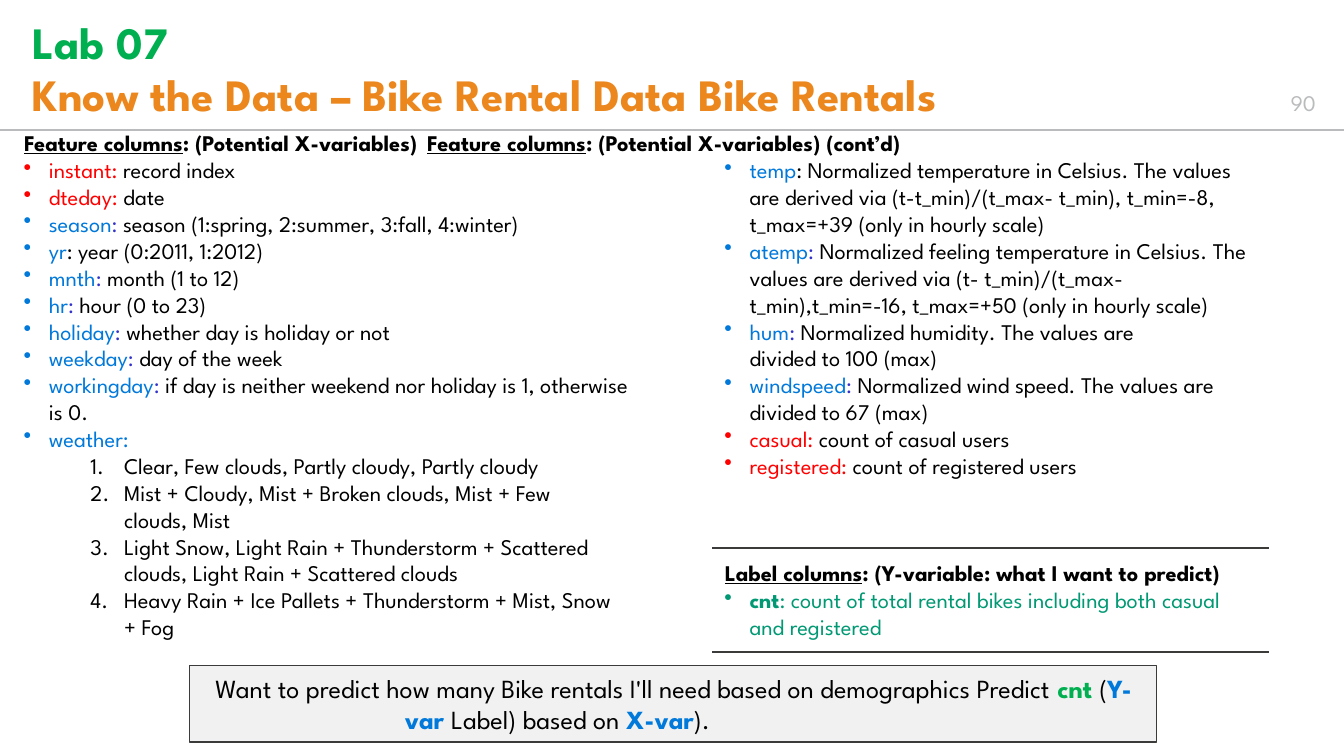
from lxml.etree import SubElement
from pptx import Presentation
from pptx.dml.color import RGBColor
from pptx.enum.shapes import MSO_CONNECTOR, MSO_SHAPE
from pptx.oxml.ns import qn
from pptx.util import Pt

THEME = {
    "font": "League Spartan",
    "title": 24, "note": 14, "body": 12,
    "black": "000000", "red": "FF0000", "blue": "0079DB", "indigo": "3333CC",
    "green": "00AF50", "teal": "009973", "orange": "EB871D",
    "gray": "BABBBD", "dark": "3B3B3A", "pale": "F1F1F1",
}

# Content: a run is (text, colour, style), with b for bold and u for underline
TITLE = [("Lab 07", "green"), ("Know the Data – Bike Rental Data Bike Rentals", "orange")]
HEAD = [("Feature columns", "black", "bu"), (": (Potential X-variables)\t", "black", "b"),
        ("Feature columns", "black", "bu"),
        (": (Potential X-variables) (cont’d)", "black", "b")]
# Feature: name, meaning, name colour, colon colour, right indent
LEFT = [
    ("instant", "record index", "red", "red", 0),
    ("dteday", "date", "red", "red", 0),
    ("season", "season (1:spring, 2:summer, 3:fall, 4:winter)", "blue", "indigo", 0),
    ("yr", "year (0:2011, 1:2012)", "blue", "black", 0),
    ("mnth", "month (1 to 12)", "blue", "indigo", 0),
    ("hr", "hour (0 to 23)", "blue", "indigo", 0),
    ("holiday", "whether day is holiday or not", "blue", "indigo", 0),
    ("weekday", "day of the week", "blue", "indigo", 0),
    ("workingday", "if day is neither weekend nor holiday is 1, otherwise is 0.",
     "blue", "indigo", 0),
    ("weather", "", "blue", "blue", 0),
]
SKIES = [
    "Clear, Few clouds, Partly cloudy, Partly cloudy",
    "Mist + Cloudy, Mist + Broken clouds, Mist + Few clouds, Mist",
    "Light Snow, Light Rain + Thunderstorm + Scattered clouds, "
    "Light Rain + Scattered clouds",
    "Heavy Rain + Ice Pallets + Thunderstorm + Mist, Snow + Fog",
]
RIGHT = [
    ("temp", "Normalized temperature in Celsius. The values are derived via "
     "(t-t_min)/(t_max- t_min), t_min=-8, t_max=+39 (only in hourly scale)",
     "blue", "black", 14),
    ("atemp", "Normalized feeling temperature in Celsius. The values are derived via "
     "(t- t_min)/(t_max-t_min),t_min=-16, t_max=+50 (only in hourly scale)",
     "blue", "indigo", 0),
    ("hum", "Normalized humidity. The values are divided to 100 (max)",
     "blue", "indigo", 60),
    ("windspeed", "Normalized wind speed. The values are divided to 67 (max)",
     "blue", "indigo", 0),
    ("casual", "count of casual users", "red", "red", 0),
    ("registered", "count of registered users", "red", "red", 0),
]
LABEL = [("Label columns", "black", "bu"),
         (": (Y-variable: what I want to predict)", "black", "b")]
COUNT = [("cnt", "teal", "b"),
         (": count of total rental bikes including both casual and registered", "teal", "")]
GOAL = [("Want to predict how many Bike rentals I'll need based on demographics Predict ",
         "black", ""),
        ("cnt ", "green", "b"), ("(", "black", ""), ("Y-var ", "blue", "b"),
        ("Label) based on ", "black", ""), ("X-var", "blue", "b"), (").", "black", "")]
# Rules: left, top, width, colour, weight
RULES = [(0, 69.7, 720, "gray", 1),
         (381.6, 293.7, 298, "dark", 1.25), (381.6, 349.2, 298, "dark", 1.25)]


def tint(key):
    return RGBColor.from_string(THEME[key])


def frame(shape, top=1):
    tf = shape.text_frame
    tf.word_wrap = True
    tf.margin_left = tf.margin_right = tf.margin_bottom = 0
    tf.margin_top = Pt(top)
    return tf


def box(left, top, width, height):
    return frame(slide.shapes.add_textbox(Pt(left), Pt(top), Pt(width), Pt(height)))


def write(tf, runs, size="body", left=0.9, hang=0, right=0, mark=None, before=0):
    """Add a paragraph; the first one fills the empty start of the frame."""
    first = tf.paragraphs[0]
    para = tf.add_paragraph() if first.runs else first
    para.space_before = Pt(before)
    props = para._p.get_or_add_pPr()
    for name, value in (("marL", left), ("indent", -hang), ("marR", right)):
        props.set(name, str(int(Pt(value))))
    if mark == "1":
        SubElement(props, qn("a:buAutoNum"), type="arabicPeriod")
    elif mark:
        SubElement(props, qn("a:buChar"), char=mark)
    for text, key, style in runs:
        run = para.add_run()
        run.text = text
        font = run.font
        font.name, font.size = THEME["font"], Pt(THEME[size])
        font.color.rgb = tint(key)
        font.bold, font.underline = "b" in style, "u" in style
    return para


def dot(tf, runs, right=0, before=0):
    write(tf, runs, left=14.2, hang=13.5, right=right, mark="•", before=before)


def listing(tf, items):
    for i, (name, text, key, colon, right) in enumerate(items):
        runs = [(name, key, ""), (": " if text else ":", colon, "")]
        if text:
            runs.append((text, "black", ""))
        dot(tf, runs, right, before=0 if i else 1)


deck = Presentation()
deck.slide_width, deck.slide_height = Pt(720), Pt(405)
slide = deck.slides.add_slide(deck.slide_layouts[6])

# Title and page number
title = box(13.5, 7.4, 605, 58)
for i, (text, key) in enumerate(TITLE):
    para = write(title, [(text, key, "b")], "title", left=4, before=0 if i else 1)
    para.line_spacing = Pt(28.1)
write(box(690.5, 47, 18, 16), [("90", "gray", "")], before=1.1)

# Column headings share a line, parted by a tab stop
head = write(box(12, 68.4, 659, 16.5), HEAD, before=1)
tabs = SubElement(head._p.get_or_add_pPr(), qn("a:tabLst"))
SubElement(tabs, qn("a:tab"), pos=str(int(Pt(376.6))), algn="l")

# Feature lists
feats = box(12, 82.8, 331.3, 261)
listing(feats, LEFT)
for sky in SKIES:
    write(feats, [(sky, "black", "")], left=54.5, hang=18, right=13, mark="1")
listing(box(387.4, 82.8, 298, 204), RIGHT)

# Label column
label = box(387.4, 298.8, 295.2, 45)
write(label, LABEL, before=1)
dot(label, COUNT, right=18)

# Goal bar
bar = slide.shapes.add_shape(MSO_SHAPE.RECTANGLE, Pt(101.5), Pt(356.5), Pt(518), Pt(41))
bar.shadow.inherit = False
bar.fill.solid()
bar.fill.fore_color.rgb = tint("pale")
bar.line.color.rgb = tint("dark")
bar.line.width = Pt(0.75)
goal = frame(bar, 3.5)
goal.vertical_anchor = 1
write(goal, GOAL, "note", left=115.4, hang=101.5, before=3.5).alignment = 1

# Rules
for left, top, width, key, weight in RULES:
    rule = slide.shapes.add_connector(MSO_CONNECTOR.STRAIGHT, Pt(left), Pt(top),
                                      Pt(left + width), Pt(top))
    rule.line.color.rgb = tint(key)
    rule.line.width = Pt(weight)
    SubElement(rule._element.spPr, qn("a:effectLst"))

deck.save("out.pptx")
